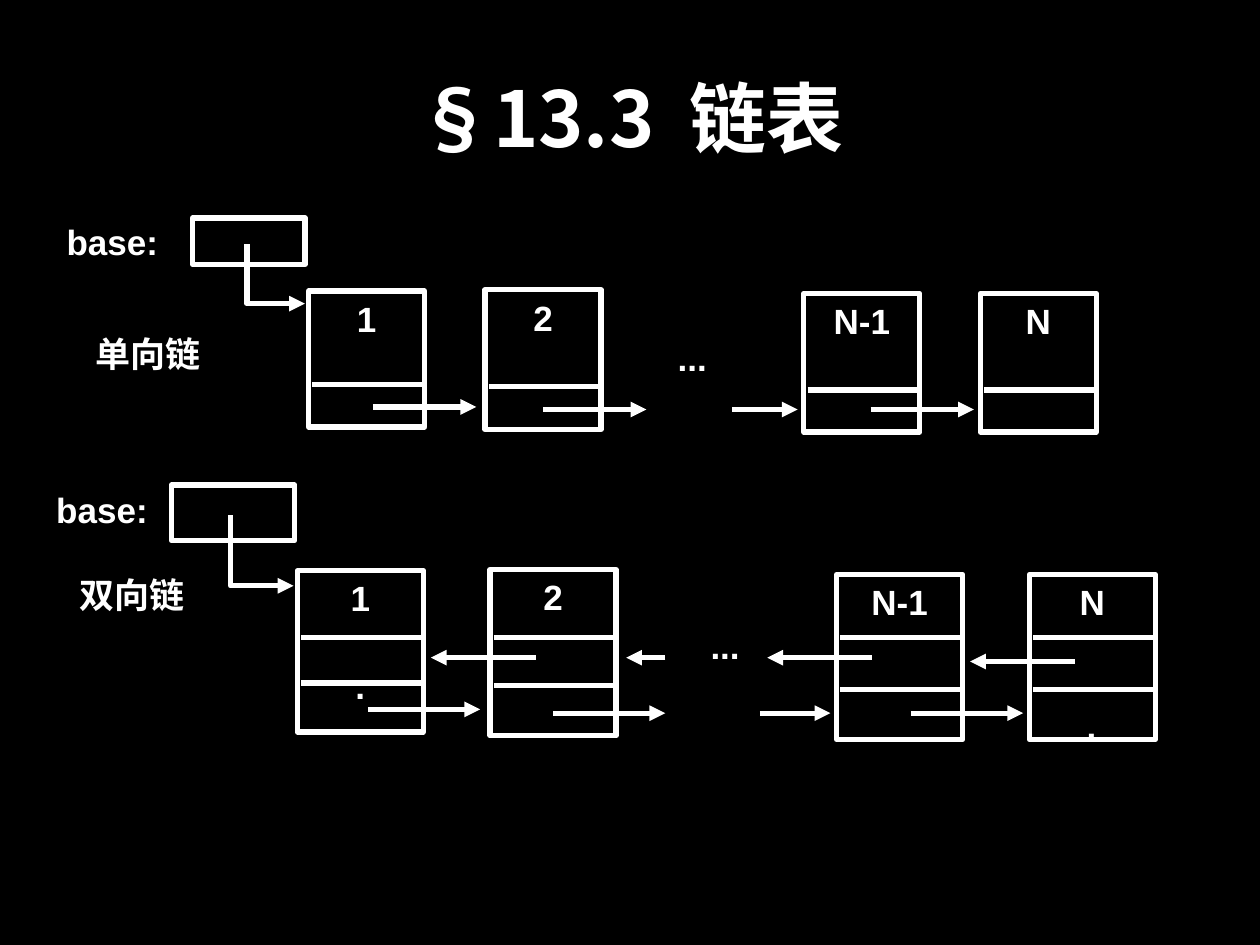
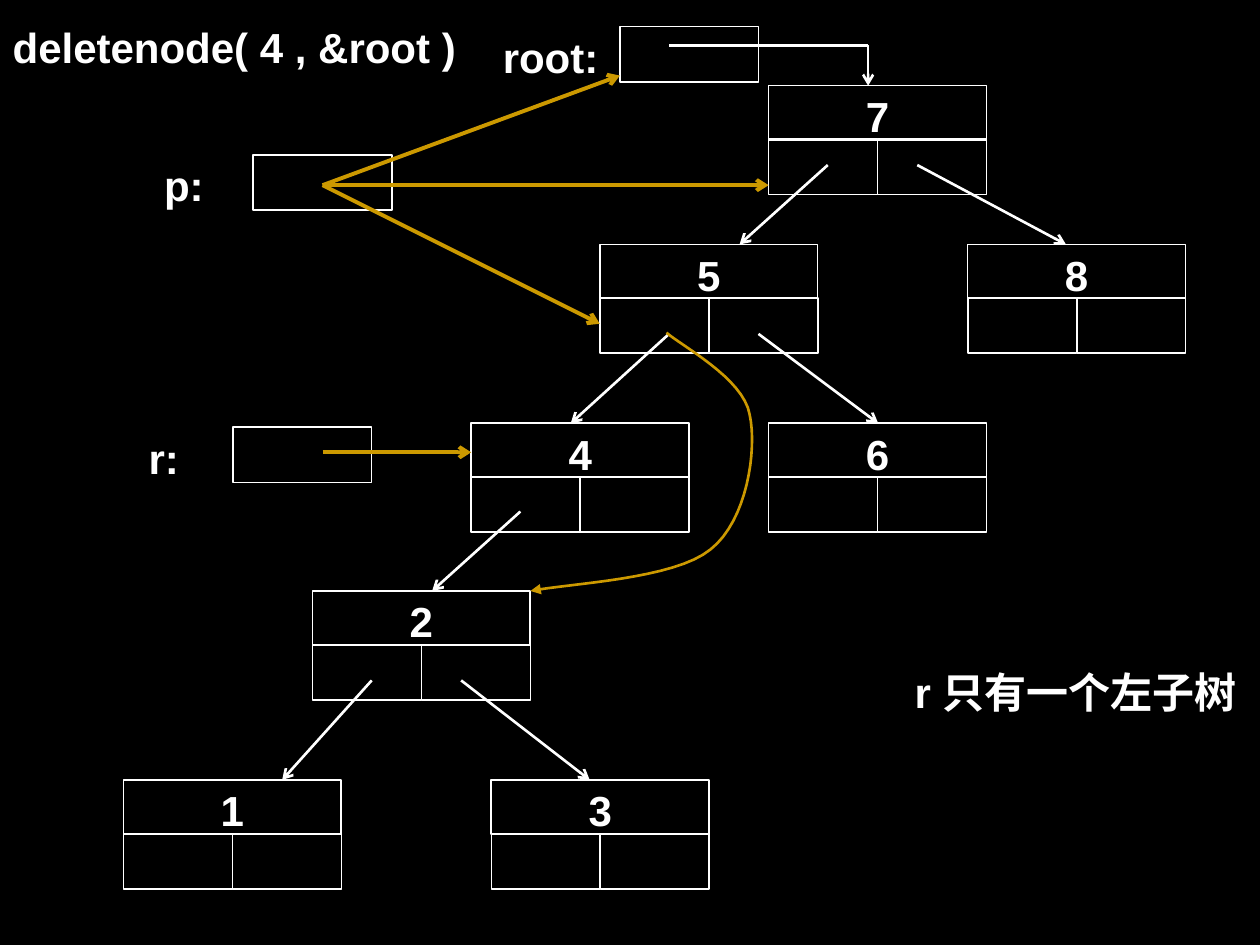
import copy
import pptx
import pptx.dml.color
import pptx.enum.shapes
import pptx.enum.text
import pptx.oxml.ns
import pptx.oxml.xmlchemy
import pptx.util
from dataclasses import dataclass


@dataclass(frozen=True)
class Theme:
    background: str = "000000"
    ink: str = "FFFFFF"
    accent: str = "CC9900"
    latin: str = "Arial"
    chinese: str = "Noto Sans CJK SC"
    title_size: int = 44
    chain_size: int = 20
    tree_size: int = 24
    thick: float = 3
    pointer: float = 2.25
    link: float = 1.5
    thin: float = 1


theme = Theme()
qn = pptx.oxml.ns.qn
new_element = pptx.oxml.xmlchemy.OxmlElement
RGB = pptx.dml.color.RGBColor.from_string
LEFT = pptx.enum.text.PP_ALIGN.LEFT
CENTER = pptx.enum.text.PP_ALIGN.CENTER
CHAIN_INSET, TREE_INSET = (0.1, 0.05), (0.01, 0.04)

presentation = pptx.Presentation()
presentation.slide_width = pptx.util.Inches(10)
presentation.slide_height = pptx.util.Inches(7.5)

# Every length counts cells of a grid with 100 columns and 75 rows
COLUMN = presentation.slide_width / 100
ROW = presentation.slide_height / 75


def add_box(slide, place, text="", outline=None, size=theme.chain_size,
            inset=CHAIN_INSET, align=CENTER, font=theme.latin):
    """A text box, or an unfilled rectangle when an outline width is given."""
    left, top, width, height = place
    area = (round(left * COLUMN), round(top * ROW),
            round(width * COLUMN), round(height * ROW))
    if outline:
        shape = slide.shapes.add_shape(
            pptx.enum.shapes.MSO_SHAPE.RECTANGLE, *area)
        shape.shadow.inherit = False
        shape.fill.background()
        shape.line.color.rgb = RGB(theme.ink)
        shape.line.width = pptx.util.Pt(outline)
    else:
        shape = slide.shapes.add_textbox(*area)
    if text:
        frame = shape.text_frame
        frame.text = text
        frame.word_wrap = True
        frame.vertical_anchor = pptx.enum.text.MSO_ANCHOR.TOP
        frame.margin_left = frame.margin_right = pptx.util.Inches(inset[0])
        frame.margin_top = frame.margin_bottom = pptx.util.Inches(inset[1])
        for paragraph in frame.paragraphs:
            paragraph.alignment = align
            for run in paragraph.runs:
                run.font.size = pptx.util.Pt(size)
                run.font.bold = True
                run.font.color.rgb = RGB(theme.ink)
                run.font.name = font
                east_asian = new_element("a:ea")
                east_asian.set("typeface", theme.chinese)
                run.font._element.append(east_asian)
    return shape


def add_path(slide, points, width, head=None, color=theme.ink):
    """A straight connector for two points, an open outline for more."""
    points = [(round(x * COLUMN), round(y * ROW)) for x, y in points]
    if len(points) == 2:
        shape = slide.shapes.add_connector(
            pptx.enum.shapes.MSO_CONNECTOR.STRAIGHT, *points[0], *points[1])
    else:
        builder = slide.shapes.build_freeform(*points[0], scale=1.0)
        builder.add_line_segments(points[1:], close=False)
        shape = builder.convert_to_shape()
        shape.fill.background()
    shape.line.color.rgb = RGB(color)
    shape.line.width = pptx.util.Pt(width)
    properties = shape.element.spPr
    if head:
        arrowhead = new_element("a:tailEnd")
        arrowhead.set("type", head)
        properties.find(qn("a:ln")).append(arrowhead)
    properties.append(new_element("a:effectLst"))


chain_slide, tree_slide = [
    presentation.slides.add_slide(presentation.slide_layouts[6]) for _ in range(2)]
for slide in (chain_slide, tree_slide):
    slide.background.fill.solid()
    slide.background.fill.fore_color.rgb = RGB(theme.background)

# ---- Slide 1: linked lists ----
title = add_box(chain_slide, (5, 3, 90, 12.5), "§13.3",
                size=theme.title_size, font=theme.chinese)
title.text_frame.vertical_anchor = pptx.enum.text.MSO_ANCHOR.MIDDLE
# Letter spacing widens the gap between number and heading
title_paragraph = title.text_frame.paragraphs[0]
title_format = title_paragraph.runs[0].font._element
for text, spacing in [(" ", "1000"), ("链表", "0")]:
    run = title_paragraph.add_run()
    run.text = text
    run_format = copy.deepcopy(title_format)
    run_format.set("spc", spacing)
    run._r.insert(0, run_format)

# Nodes: text, left, top, height, divider rows.  Arrows: from, to, row.
chains = [
    dict(labels=[("base:", (4.3, 17, 10, 3.7), LEFT),
                 ("单向链", (6.6, 25.9, 15.5, 6.2), LEFT),
                 ("...", (52.8, 26.2, 5.6, 4.7), LEFT)],
         base=(15.3, 17.3, 8.9, 3.7),
         elbow=[(19.6, 19.4), (19.6, 24.1), (24.2, 24.1)],
         node_width=9.2,
         nodes=[("1", 24.5, 23.1, 10.8, [30.5]),
                ("2", 38.5, 23, 11.1, [30.7]),
                ("N-1", 63.8, 23.3, 11, [30.95]),
                ("N", 77.8, 23.3, 11, [30.95])],
         arrows=[(29.6, 37.8, 32.3), (43.1, 51.3, 32.5),
                 (58.1, 63.3, 32.5), (69.1, 77.3, 32.5)]),
    dict(labels=[("base:", (3.1, 38.3, 10, 4.4), CENTER),
                 ("双向链", (4.9, 45, 11.1, 5.3), CENTER),
                 ("...", (54.5, 49.1, 6.1, 5.6), CENTER)],
         base=(13.6, 38.5, 9.8, 4.4),
         elbow=[(18.3, 40.9), (18.3, 46.5), (23.3, 46.5)],
         node_width=10,
         nodes=[("1\n.", 23.6, 45.3, 12.8, [50.6, 54.2]),
                ("2", 38.9, 45.2, 13.2, [50.6, 54.4]),
                ("N-1", 66.4, 45.6, 13.1, [50.6, 54.7]),
                ("N\n·", 81.7, 45.6, 13.1, [50.6, 54.7])],
         arrows=[(29.2, 38.1, 56.3), (43.9, 52.8, 56.6),
                 (60.3, 65.9, 56.6), (72.3, 81.2, 56.6),
                 (85.3, 77, 52.5), (69.2, 60.9, 52.2),
                 (52.8, 49.7, 52.2), (42.5, 34.2, 52.2)]),
]
dot_drop = {"1\n.": 26, "N\n·": 52}  # points between a node's name and its dot

for chain in chains:
    for text, place, align in chain["labels"]:
        add_box(chain_slide, place, text, align=align)
    add_box(chain_slide, chain["base"], outline=theme.thick)
    add_path(chain_slide, chain["elbow"], theme.thick, "triangle")
    for text, left, top, height, dividers in chain["nodes"]:
        node = add_box(chain_slide, (left, top, chain["node_width"], height),
                       text, outline=theme.thick)
        if text in dot_drop:
            node.text_frame.paragraphs[1].space_before = pptx.util.Pt(dot_drop[text])
        for row in dividers:
            add_path(chain_slide, [(left + 0.3, row),
                                   (left + chain["node_width"], row)], theme.thick)
    for start, end, row in chain["arrows"]:
        add_path(chain_slide, [(start, row), (end, row)], theme.thick, "triangle")

# ---- Slide 2: deleting a tree node ----
NODE_WIDTH, KEY_HEIGHT, LINK_HEIGHT = 17.3, 4.3, 4.4
level_tops = [6.8, 19.4, 33.6, 46.9, 61.9]
tree_nodes = [("7", 61, 0), ("5", 47.6, 1), ("8", 76.8, 1), ("4", 37.4, 2),
              ("6", 61, 2), ("2", 24.8, 3), ("1", 9.8, 4), ("3", 39, 4)]
for key, left, level in tree_nodes:
    top = level_tops[level]
    add_box(tree_slide, (left, top, NODE_WIDTH, KEY_HEIGHT), key,
            theme.thin, theme.tree_size, TREE_INSET)
    for side in range(2):
        add_box(tree_slide, (left + side * NODE_WIDTH / 2, top + 4.25,
                             NODE_WIDTH / 2, LINK_HEIGHT), outline=theme.thin)

# Child links: start column, start row, end column, level of the child
for start, row, end, level in [
        (65.7, 13.1, 58.7, 1), (72.8, 13.1, 84.6, 1), (53.1, 26.5, 45.3, 2),
        (60.2, 26.5, 69.7, 2), (41.3, 40.6, 34.3, 3), (29.5, 54, 22.4, 4),
        (36.6, 54, 46.8, 4)]:
    add_path(tree_slide, [(start, row), (end, level_tops[level])], theme.link, "arrow")

# Variables: label to the left of its cell
for name, left, top in [("root:", 49.2, 2.1), ("p:", 20.1, 12.3), ("r:", 18.5, 33.9)]:
    add_box(tree_slide, (left, top, 11, 4.4), outline=theme.thin)
    add_box(tree_slide, (left - 11, top, 11, 4.3), name,
            size=theme.tree_size, inset=TREE_INSET)
add_path(tree_slide, [(53.1, 3.6), (68.9, 3.6)], theme.link)
add_path(tree_slide, [(68.9, 3.6), (68.9, 6.8)], theme.link, "arrow")

# Successive values of p, and the value of r
for start, end in [((25.6, 14.7), (49.2, 6)), ((25.6, 14.7), (61, 14.7)),
                   ((25.6, 14.7), (47.6, 25.7)), ((25.6, 35.9), (37.4, 35.9))]:
    add_path(tree_slide, [start, end], theme.pointer, "arrow", theme.accent)

# New link that bypasses node 4, traced along three Bezier pieces
bypass = [(52.9, 26.4), (54, 27.4), (59, 30), (59.5, 32.9), (60.1, 35.7),
          (59.3, 41.3), (56.4, 43.6), (53.5, 46), (45.1, 46.3), (42.1, 46.9)]
STEPS = 16
curve = [bypass[0]]
for piece in range(0, 9, 3):
    for step in range(1, STEPS + 1):
        t = step / STEPS
        weights = ((1 - t) ** 3, 3 * t * (1 - t) ** 2, 3 * t * t * (1 - t), t ** 3)
        curve.append(tuple(
            sum(weight * point[axis]
                for weight, point in zip(weights, bypass[piece:piece + 4]))
            for axis in range(2)))
add_path(tree_slide, curve, theme.link, "triangle", theme.accent)

# Call and remark
add_box(tree_slide, (0.4, 1.3, 36.4, 4.3), "deletenode( 4 , &root )",
        size=theme.tree_size, inset=TREE_INSET)
add_box(tree_slide, (72.5, 52.5, 27.5, 4.3), "r 只有一个左子树",
        size=theme.tree_size, inset=TREE_INSET, align=LEFT)

presentation.save("out.pptx")
